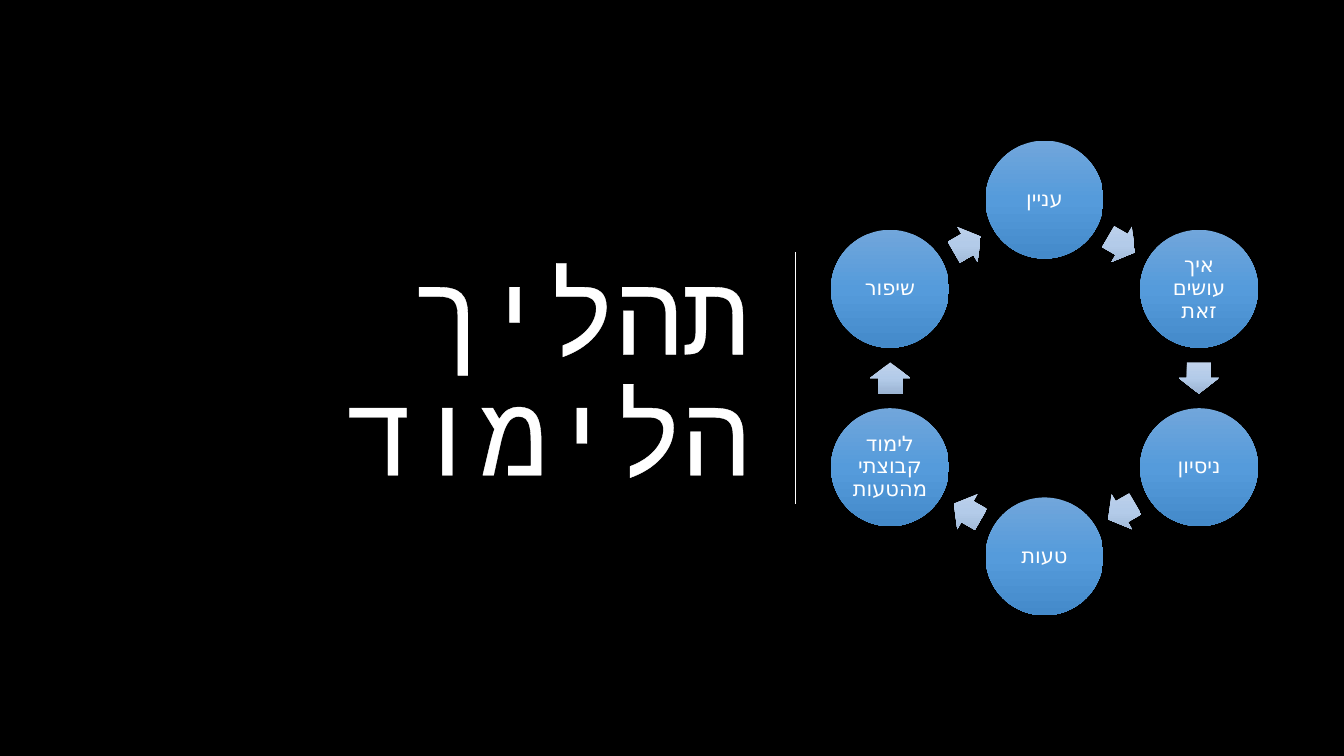
"""Build a slide with a title beside a ring of six learning steps."""
from math import cos, radians, sin

from lxml import etree
from pptx import Presentation
from pptx.dml.color import RGBColor
from pptx.enum.shapes import MSO_CONNECTOR, MSO_SHAPE
from pptx.enum.text import MSO_ANCHOR, MSO_AUTO_SIZE, PP_ALIGN
from pptx.oxml import parse_xml
from pptx.oxml.ns import nsdecls, qn
from pptx.util import Inches, Pt

LINE = MSO_CONNECTOR.STRAIGHT
OVAL, ARROW = MSO_SHAPE.OVAL, MSO_SHAPE.RIGHT_ARROW
MIDDLE, NO_FIT = MSO_ANCHOR.MIDDLE, MSO_AUTO_SIZE.NONE
RIGHT, CENTER = PP_ALIGN.RIGHT, PP_ALIGN.CENTER
COLORS = {"back": "000000", "text": "FFFFFF"}
BLUES = ["71A6DB", "559BDB", "448ACA"]
PALES = ["C0D2EB", "B3CBE9", "9BB4D3"]
STEPS = ["עניין", "איך עושים זאת", "ניסיון", "טעות", "לימוד קבוצתי מהטעות", "שיפור"]
MID_X, MID_Y = 10.36, 3.75
RING, INNER = 1.77, 1.53
DISC = 1.17
WIDE, HIGH = 0.31, 0.4


def add_part(kind, angle, radius, width, height, tones):
    """Add a shaded shape centred on the ring."""
    x = MID_X + radius * cos(radians(angle))
    y = MID_Y + radius * sin(radians(angle))
    part = slide.shapes.add_shape(kind, Inches(x - width / 2), Inches(y - height / 2),
                                  Inches(width), Inches(height))
    part.line.fill.background()
    part.fill.gradient()
    part.fill.gradient_angle = 270
    props = part.element.spPr
    props.find(qn("a:gradFill")).set("rotWithShape", "0")
    stops = props.find(".//" + qn("a:gsLst"))
    stops.clear()
    for place, tone in zip((0, 50000, 100000), tones):
        stop = etree.SubElement(stops, qn("a:gs"), pos=str(place))
        etree.SubElement(stop, qn("a:srgbClr"), val=tone)
    part.shadow.inherit = False
    props.find(qn("a:effectLst")).append(parse_xml(
        f'<a:outerShdw {nsdecls("a")} blurRad="57150" dist="19050" dir="5400000" '
        f'algn="ctr" rotWithShape="0"><a:srgbClr val="{COLORS["back"]}">'
        '<a:alpha val="63000"/></a:srgbClr></a:outerShdw>'))
    return part


def style(run, font, size):
    """Set the face, size and colour of a run."""
    run.font.name = font
    run.font.size = Pt(size)
    run.font.color.rgb = RGBColor.from_string(COLORS["text"])
    etree.SubElement(run.font._element, qn("a:cs"), typeface=font)


prs = Presentation()
prs.slide_width, prs.slide_height = Inches(13.33), Inches(7.5)
slide = prs.slides.add_slide(prs.slide_layouts[5])
slide.background.fill.solid()
slide.background.fill.fore_color.rgb = RGBColor.from_string(COLORS["back"])

title = slide.shapes.title
title.left, title.top = Inches(0.92), Inches(1.17)
title.width, title.height = Inches(6.62), Inches(5.17)
frame = title.text_frame
frame.text = "תהליך הלימוד"
frame.auto_size = NO_FIT
frame.word_wrap = True
frame.vertical_anchor = MIDDLE
para = frame.paragraphs[0]
para.alignment = RIGHT
para.line_spacing = 0.9
para._p.get_or_add_pPr().set("rtl", "1")
run = para.runs[0]
style(run, "Courier New", 80)
run.font._element.insert(0, parse_xml(
    f'<a:ln {nsdecls("a")} w="22225"><a:solidFill>'
    f'<a:srgbClr val="{COLORS["text"]}"/></a:solidFill></a:ln>'))

rule = slide.shapes.add_connector(LINE, Inches(7.89), Inches(2.5), Inches(7.89), Inches(5))
rule.line.color.rgb = RGBColor.from_string(COLORS["text"])
rule.line.width = Pt(1.25)
etree.SubElement(rule.element.spPr, qn("a:effectLst"))

for i, step in enumerate(STEPS):
    angle = 60 * i - 90
    disc = add_part(OVAL, angle, RING, DISC, DISC, BLUES)
    frame = disc.text_frame
    frame.text = step
    frame.word_wrap = True
    frame.vertical_anchor = MIDDLE
    frame.margin_left = frame.margin_right = Inches(0.02)
    frame.margin_top = frame.margin_bottom = Inches(0.02)
    para = frame.paragraphs[0]
    para.alignment = CENTER
    para.line_spacing = 0.9
    para.space_after = Pt(5.25)
    style(para.runs[0], "DejaVu Sans", 15)

    arrow = add_part(ARROW, angle + 30, INNER, WIDE, HIGH, PALES)
    arrow.adjustments[0] = 0.6
    arrow.adjustments[1] = 0.5
    arrow.rotation = (30 + 60 * i) % 360

prs.save("out.pptx")
